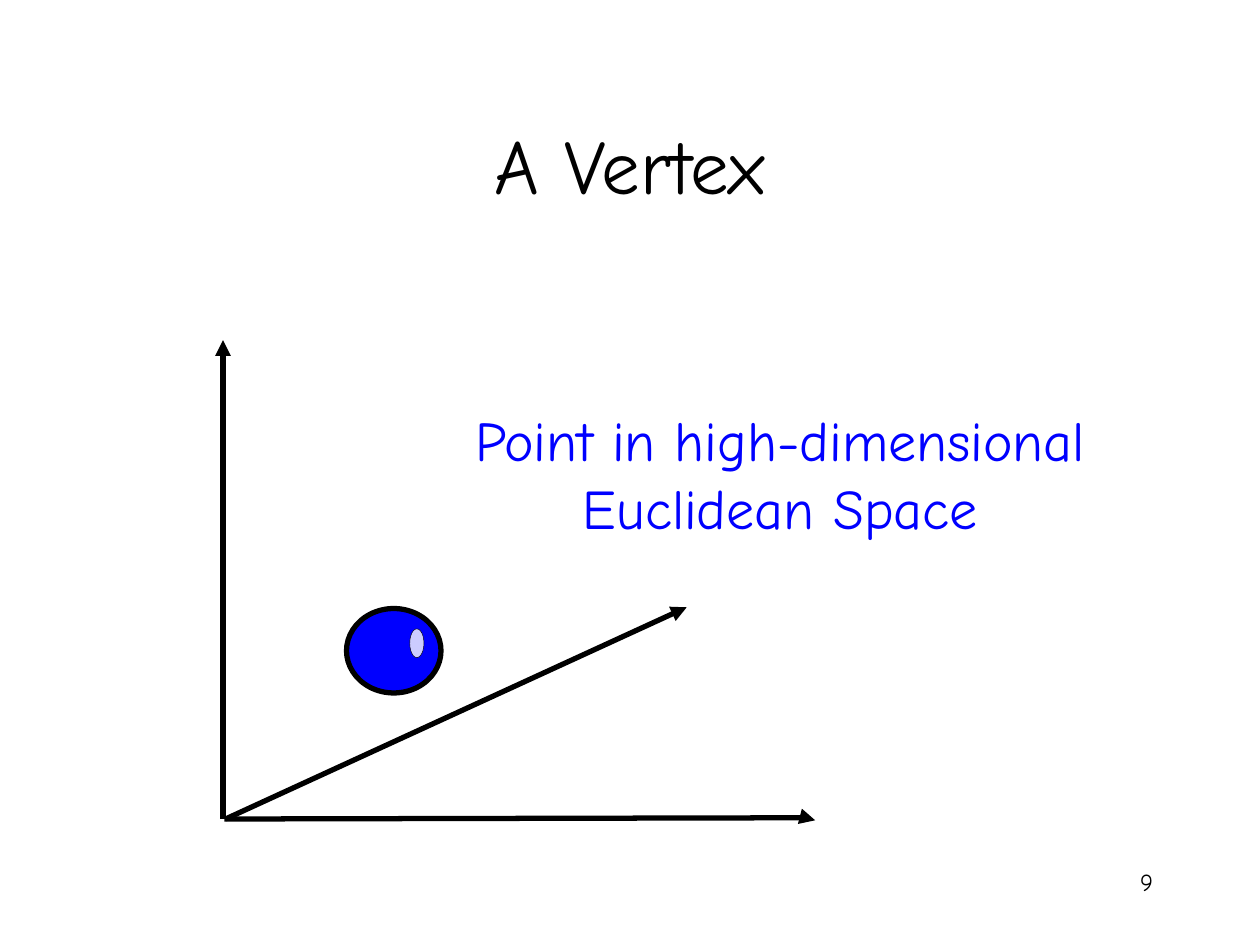
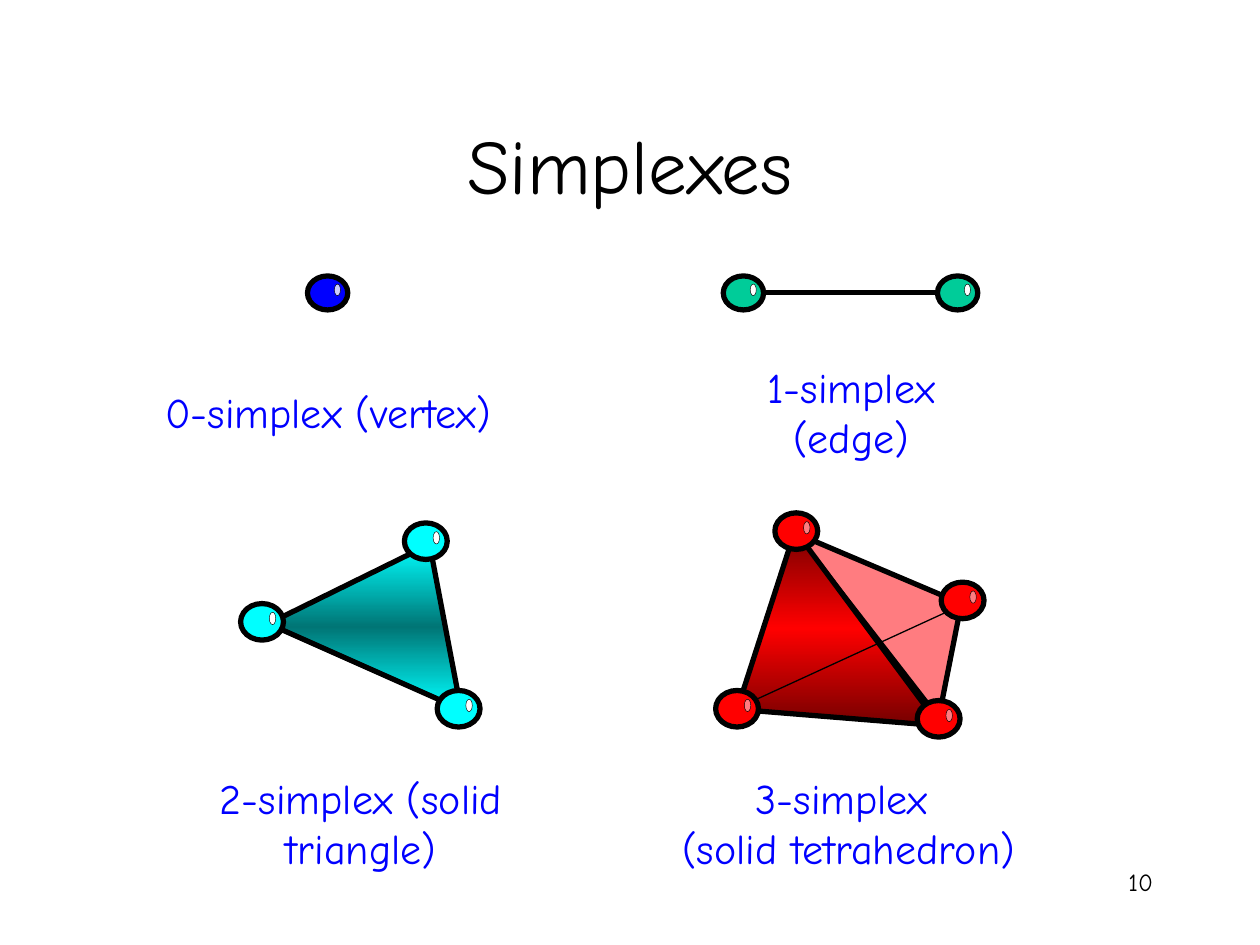
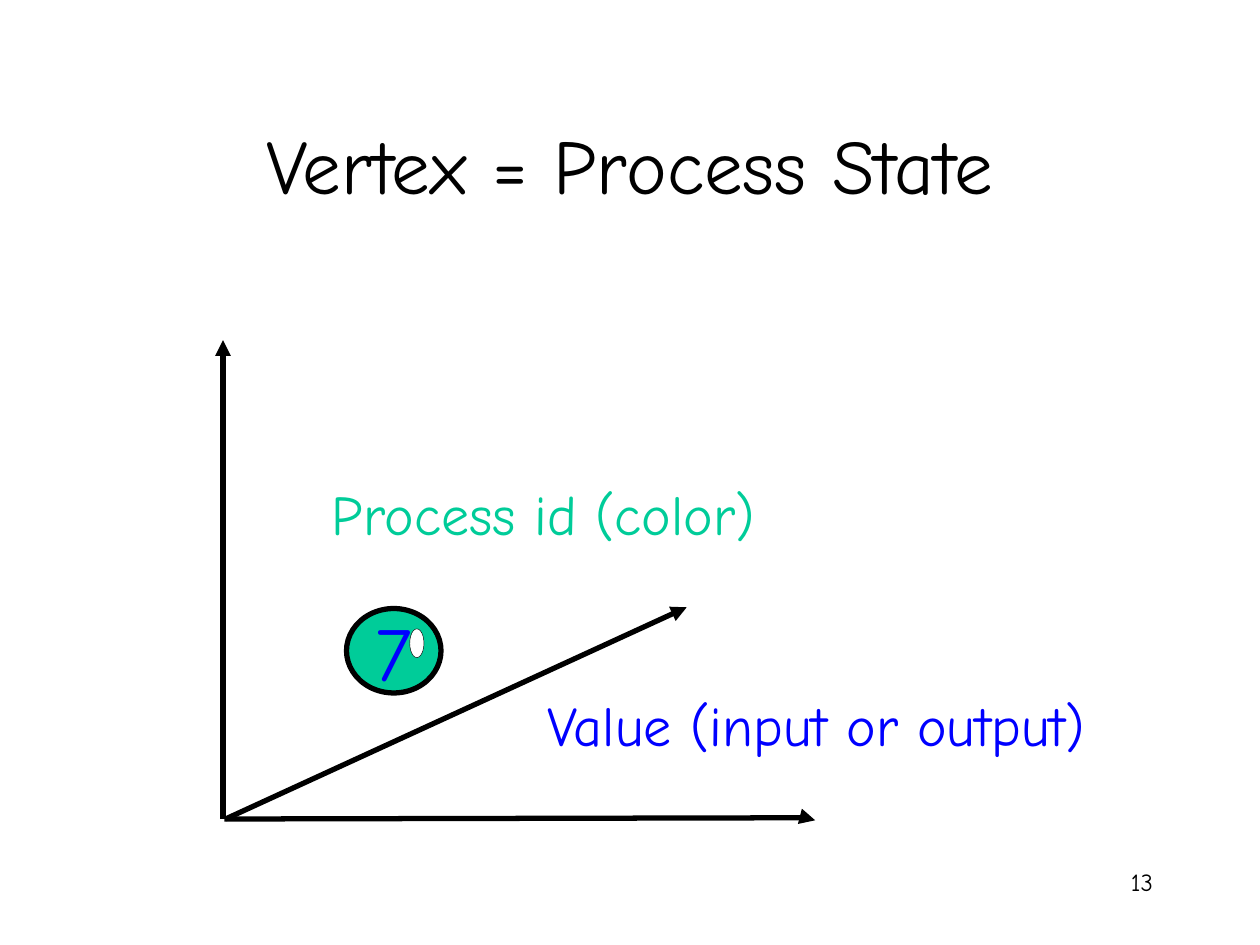
import copy

import pptx
import pptx.dml.color
import pptx.enum.shapes
import pptx.enum.text
import pptx.oxml
import pptx.oxml.ns
import pptx.util

Inches = pptx.util.Inches
ALIGN = pptx.enum.text.PP_ALIGN
ANCHOR = pptx.enum.text.MSO_ANCHOR
AUTO_SIZE = pptx.enum.text.MSO_AUTO_SIZE
OVAL = pptx.enum.shapes.MSO_SHAPE.OVAL
STRAIGHT = pptx.enum.shapes.MSO_CONNECTOR.STRAIGHT

FONT = "Comic Neue"
BLACK = "000000"
WHITE = "FFFFFF"
BLUE = "0000FF"
PALE_BLUE = "CCCCFF"
GREEN = "00CC99"
CYAN = "00FFFF"
DARK_CYAN = "007575"
RED = "FF0000"
DARK_RED = "750000"
PINK = "FF7C80"

POINT_BALL = (2.75, 4.83, 0.75, 0.67)
EDGE_BALL = (0.32, 0.27)
CORNER_BALL = (0.34, 0.29)


def rgb(hex_color):
    return pptx.dml.color.RGBColor.from_string(hex_color)


def write(frame, text, size, color, align=ALIGN.CENTER, anchor=ANCHOR.MIDDLE, wrap=True):
    frame.word_wrap = wrap
    frame.vertical_anchor = anchor
    frame.text = text
    for paragraph in frame.paragraphs:
        paragraph.alignment = align
        paragraph.font.name = FONT
        paragraph.font.size = pptx.util.Pt(size)
        paragraph.font.color.rgb = rgb(color)


def add_text(slide, box, text, size, color, **layout):
    frame = slide.shapes.add_textbox(*map(Inches, box)).text_frame
    write(frame, text, size, color, **layout)
    return frame


def add_label(slide, box, text, size=24, color=BLUE, wrap=True):
    frame = add_text(slide, box, text, size, color, wrap=wrap)
    frame.auto_size = AUTO_SIZE.SHAPE_TO_FIT_TEXT


def set_line(shape, weight):
    shape.line.color.rgb = rgb(BLACK)
    shape.line.width = pptx.util.Pt(weight)


def set_fill(shape, color):
    shape.fill.solid()
    shape.fill.fore_color.rgb = rgb(color)


def set_gradient(shape, outer, middle):
    shape.fill.gradient()
    shape.fill.gradient_angle = 270
    stop_list = shape._element.spPr.find(".//" + pptx.oxml.ns.qn("a:gsLst"))
    stop_list.append(copy.deepcopy(stop_list[-1]))
    stops = zip(shape.fill.gradient_stops, (0, 0.5, 1), (outer, middle, outer))
    for stop, position, color in stops:
        stop.position = position
        stop.color.rgb = rgb(color)


def add_arrowhead(shape):
    head = pptx.oxml.parse_xml(f'<a:tailEnd {pptx.oxml.ns.nsdecls("a")} type="triangle"/>')
    shape.line._get_or_add_ln().append(head)


def add_line(slide, start, end, weight=3):
    line = slide.shapes.add_connector(STRAIGHT, *map(Inches, start + end))
    line._element.spPr.append(
        pptx.oxml.parse_xml(f'<a:effectLst {pptx.oxml.ns.nsdecls("a")}/>'))
    set_line(line, weight)
    return line


def add_outline(slide, points, close=True):
    start, *rest = [tuple(map(Inches, point)) for point in points]
    builder = slide.shapes.build_freeform(*start)
    builder.add_line_segments(rest, close=close)
    outline = builder.convert_to_shape()
    outline.shadow.inherit = False
    set_line(outline, 3)
    return outline


def add_oval(slide, box, color, weight):
    oval = slide.shapes.add_shape(OVAL, *map(Inches, box))
    oval.shadow.inherit = False
    set_fill(oval, color)
    set_line(oval, weight)
    return oval


def add_ball(slide, box, color, glint):
    left, top, width, height = box
    ball = add_oval(slide, box, color, 3)
    glint_box = (left + 0.67 * width, top + 0.24 * height, 0.15 * width, 0.34 * height)
    add_oval(slide, glint_box, glint, 0.25)
    return ball


def add_balls(slide, corners, size, color, glint):
    for corner in corners:
        add_ball(slide, corner + size, color, glint)


def add_axes(slide):
    add_arrowhead(add_line(slide, (1.77, 6.5), (1.77, 2.7)))
    horizontal = add_outline(slide, [(1.78, 6.5), (6.49, 6.49), (6.47, 6.51)], close=False)
    horizontal.fill.background()
    add_arrowhead(horizontal)
    add_arrowhead(add_line(slide, (1.79, 6.5), (5.45, 4.82)))


def start_slide(deck, title, number):
    slide = deck.slides.add_slide(deck.slide_layouts[6])
    add_text(slide, (0.75, 0.67, 8.5, 1.25), title, 44, BLACK)
    add_text(slide, (7.17, 6.83, 2.08, 0.5), number, 14, BLACK,
             align=ALIGN.RIGHT, anchor=ANCHOR.TOP)
    return slide


def build_vertex(deck):
    slide = start_slide(deck, "A Vertex", "9")
    add_axes(slide)
    add_label(slide, (3.33, 3.17, 5.73, 1.17),
              "Point in high-dimensional Euclidean Space", 32)
    add_ball(slide, POINT_BALL, BLUE, PALE_BLUE)


def build_simplexes(deck):
    slide = start_slide(deck, "Simplexes", "10")

    add_balls(slide, [(2.44, 2.19)], EDGE_BALL, BLUE, PALE_BLUE)
    add_label(slide, (1.18, 3.02, 2.85, 0.5), "0-simplex (vertex)")

    add_line(slide, (5.94, 2.32), (7.54, 2.32))
    add_balls(slide, [(5.74, 2.19), (7.44, 2.19)], EDGE_BALL, GREEN, WHITE)
    add_label(slide, (5.6, 2.82, 2.31, 0.9), "1-simplex (edge)")

    triangle = add_outline(slide, [(2.13, 4.95), (3.41, 4.32), (3.66, 5.63)])
    set_gradient(triangle, CYAN, DARK_CYAN)
    add_balls(slide, [(1.91, 4.79), (3.21, 4.15), (3.47, 5.48)], CORNER_BALL, CYAN, WHITE)
    add_label(slide, (1.63, 6.08, 2.47, 0.9), "2-simplex (solid triangle)")

    side_face = add_outline(slide, [(6.31, 4.23), (7.45, 5.7), (7.63, 4.79)])
    set_fill(side_face, PINK)
    front_face = add_outline(slide, [(6.31, 4.21), (7.46, 5.76), (5.85, 5.63)])
    set_gradient(front_face, DARK_RED, RED)
    add_balls(slide, [(6.15, 4.07), (7.28, 5.56)], CORNER_BALL, RED, PINK)
    add_line(slide, (5.83, 5.63), (7.66, 4.79), 0.75)
    add_balls(slide, [(5.68, 5.48), (7.47, 4.62)], CORNER_BALL, RED, PINK)
    add_label(slide, (4.99, 6.08, 3.49, 0.9), "3-simplex \n(solid tetrahedron)")


def build_process_state(deck):
    slide = start_slide(deck, "Vertex = Process State", "13")
    add_axes(slide)
    add_label(slide, (2.53, 3.75, 3.57, 0.64), "Process id (color)", 32, GREEN, wrap=False)
    add_label(slide, (4.23, 5.43, 4.5, 0.64), "Value (input or output)", 32, wrap=False)
    state = add_ball(slide, POINT_BALL, GREEN, WHITE)
    write(state.text_frame, "7", 44, BLUE, wrap=False)


def main():
    deck = pptx.Presentation()
    deck.slide_width = Inches(10)
    deck.slide_height = Inches(7.5)
    build_vertex(deck)
    build_simplexes(deck)
    build_process_state(deck)
    deck.save("out.pptx")


if __name__ == "__main__":
    main()
